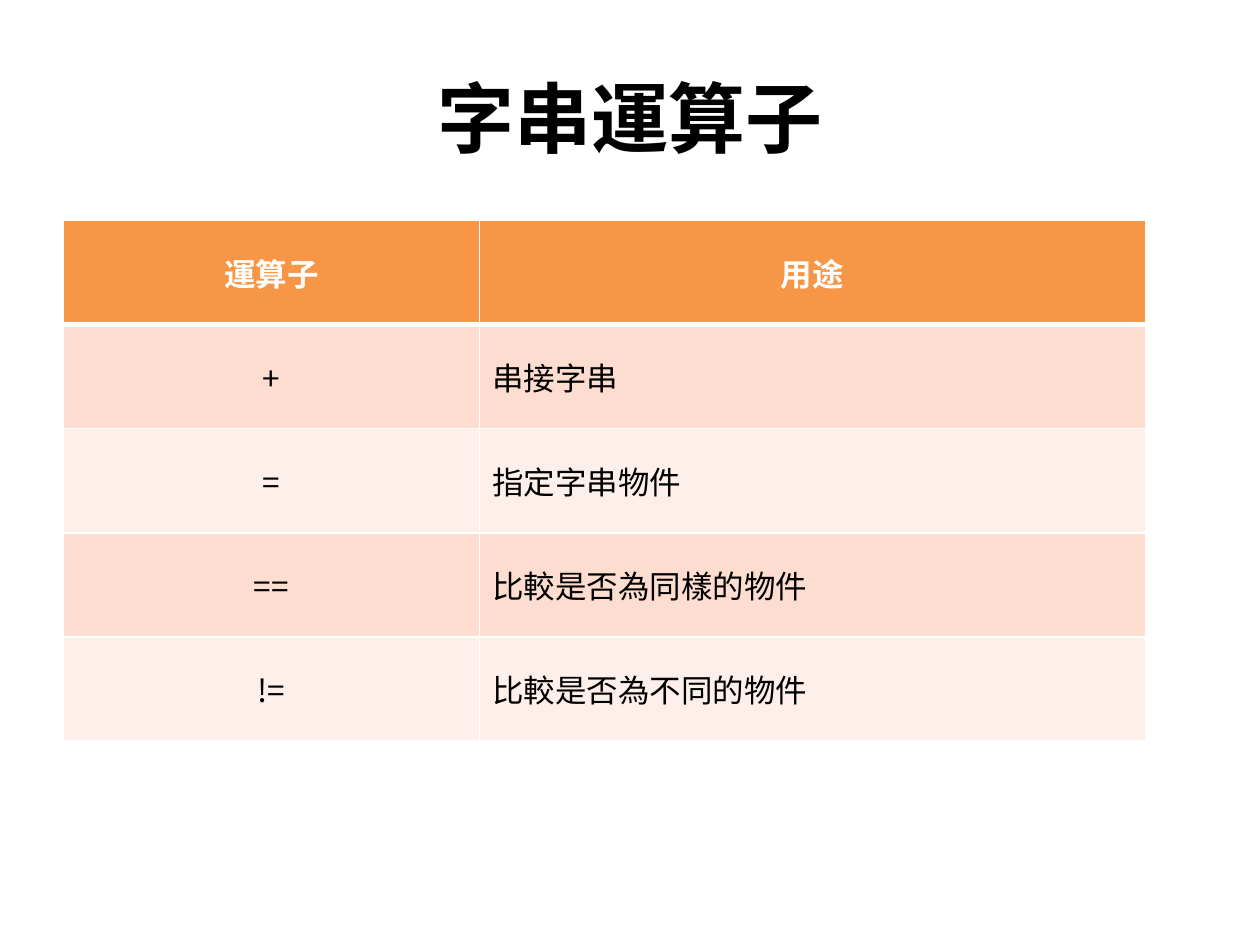
import pptx
import pptx.util
import pptx.dml.color
import pptx.enum.text
import pptx.oxml.ns
import lxml.etree

Pt = pptx.util.Pt
ALIGN = pptx.enum.text.PP_ALIGN
MIDDLE = pptx.enum.text.MSO_ANCHOR.MIDDLE

FONT = "Noto Sans CJK SC"
COLORS = {
    "text": "000000",
    "header_text": "FFFFFF",
    "header": "F79646",
    "odd_row": "FCDDCF",
    "even_row": "FDEFE9",
    "border": "FFFFFF",
}
OPERATORS = [
    ("運算子", "用途"),
    ("+", "串接字串"),
    ("=", "指定字串物件"),
    ("==", "比較是否為同樣的物件"),
    ("!=", "比較是否為不同的物件"),
]


def rgb(name):
    return pptx.dml.color.RGBColor.from_string(COLORS[name])


def add_element(parent, tag, **attributes):
    return lxml.etree.SubElement(parent, pptx.oxml.ns.qn(tag), **attributes)


def write(frame, text, size, color, bold, align):
    frame.text = text
    paragraph = frame.paragraphs[0]
    paragraph.alignment = align
    run = paragraph.runs[0]
    run.font.size = Pt(size)
    run.font.bold = bold
    run.font.color.rgb = rgb(color)
    run.font.name = FONT
    add_element(run.font._element, "a:ea", typeface=FONT)


def draw_borders(cell, bottom_width):
    properties = cell._tc.get_or_add_tcPr()
    widths = {"a:lnL": 1, "a:lnR": 1, "a:lnT": 1, "a:lnB": bottom_width}
    for side, width in widths.items():
        line = add_element(properties, side, w=str(Pt(width)))
        fill = add_element(line, "a:solidFill")
        add_element(fill, "a:srgbClr", val=COLORS["border"])


def place_title(slide, left, top, width, height):
    title = slide.shapes.title
    title.left, title.top = Pt(left), Pt(top)
    title.width, title.height = Pt(width), Pt(height)
    title.text_frame.vertical_anchor = MIDDLE
    write(title.text_frame, "字串運算子", 44, "text", True, ALIGN.CENTER)


def place_operators(slide, left, top, width, height):
    operators = slide.shapes.add_table(
        len(OPERATORS), 2, Pt(left), Pt(top), Pt(width), Pt(height)
    ).table
    symbol_width = 238
    operators.columns[0].width = Pt(symbol_width)
    operators.columns[1].width = Pt(width - symbol_width)
    for row, entries in enumerate(OPERATORS):
        operators.rows[row].height = Pt(height / len(OPERATORS))
        header = row == 0
        band = "header" if header else "odd_row" if row % 2 else "even_row"
        for column, text in enumerate(entries):
            cell = operators.cell(row, column)
            cell.vertical_anchor = MIDDLE
            draw_borders(cell, 3 if header else 1)
            cell.fill.solid()
            cell.fill.fore_color.rgb = rgb(band)
            centred = header or column == 0
            write(cell.text_frame, text, 18,
                  "header_text" if header else "text", header,
                  ALIGN.CENTER if centred else ALIGN.LEFT)


def main():
    deck = pptx.Presentation()
    deck.slide_width, deck.slide_height = Pt(720), Pt(540)
    slide = deck.slides.add_slide(deck.slide_layouts[5])
    place_title(slide, 36, 21.6, 648, 90)
    place_operators(slide, 36, 126, 618.5, 297.5)
    deck.save("out.pptx")


main()
